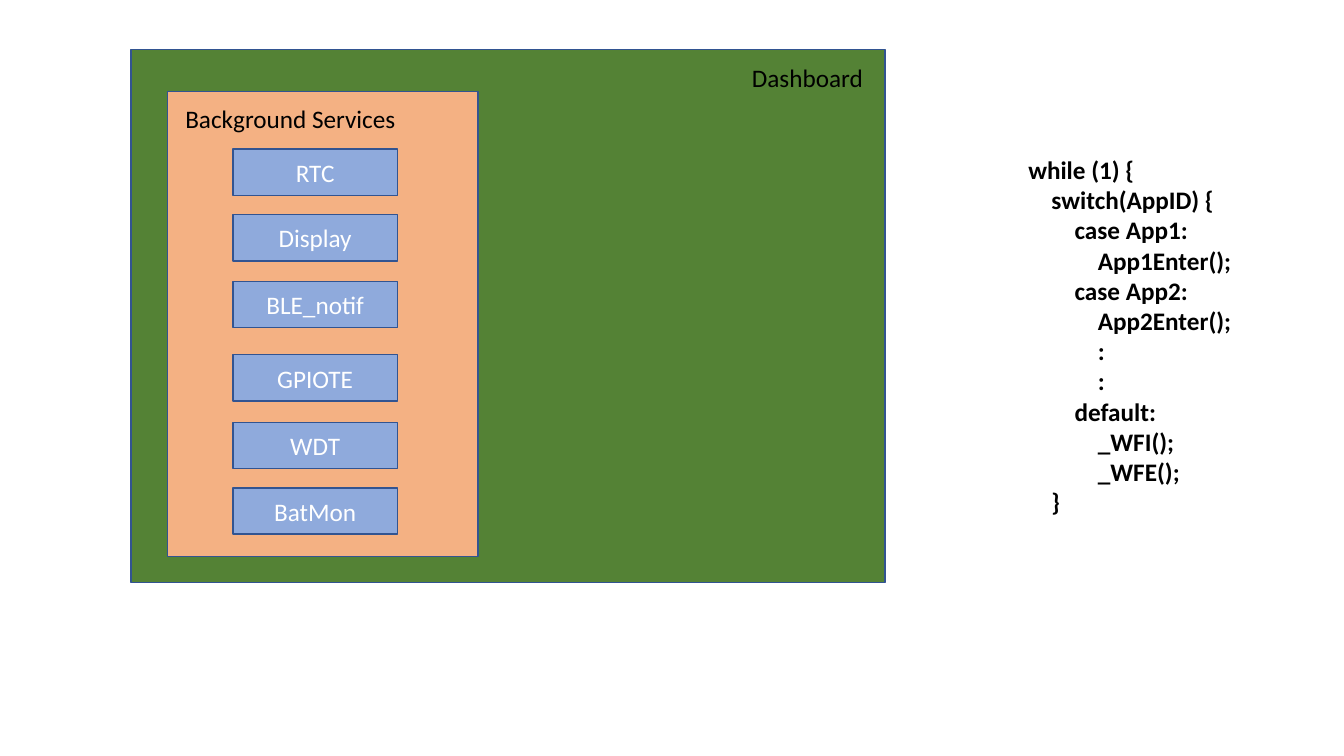
from pptx import Presentation
from pptx.dml.color import RGBColor as RGB
from pptx.enum.shapes import MSO_SHAPE as SHAPE
from pptx.enum.text import MSO_ANCHOR as ANCHOR, MSO_AUTO_SIZE as FIT, PP_ALIGN as ALIGN
from pptx.util import Inches, Pt

WIDE, HIGH = Inches(13.33), Inches(7.5)
FONT, SIZE = "Calibri", 18
STEP = Inches(0.23)  # one level of code indent

COLORS = {
    "board": "548235",
    "panel": "F4B183",
    "service": "8FAADC",
    "edge": "325491",
    "dark": "000000",
    "light": "FFFFFF",
}

# Service name and its top, in percent of the slide height
SERVICES = [
    ("RTC", 19.73),
    ("Display", 28.4),
    ("BLE_notif", 37.2),
    ("GPIOTE", 46.93),
    ("WDT", 55.87),
    ("BatMon", 64.53),
]

# Indent level and code line
CODE = [
    (0, "while (1) {"),
    (1, "switch(AppID) {"),
    (2, "case App1:"),
    (3, "App1Enter();"),
    (2, "case App2:"),
    (3, "App2Enter();"),
    (3, ":"),
    (3, ":"),
    (2, "default:"),
    (3, "_WFI();"),
    (3, "_WFE();"),
    (1, "}"),
]


def color(name):
    return RGB.from_string(COLORS[name])


def place(left, top, width, height):
    """Turn percentages of the slide into lengths."""
    sides = (left, WIDE), (top, HIGH), (width, WIDE), (height, HIGH)
    return [round(share * full / 100) for share, full in sides]


def add_run(para, text, ink, bold=False):
    run = para.add_run()
    run.text = text
    font = run.font
    font.name, font.size, font.bold = FONT, Pt(SIZE), bold
    font.color.rgb = color(ink)


def add_box(slide, area, fill, text=None):
    box = slide.shapes.add_shape(SHAPE.RECTANGLE, *place(*area))
    box.shadow.inherit = False
    box.fill.solid()
    box.fill.fore_color.rgb = color(fill)
    box.line.color.rgb = color("edge")
    box.line.width = Pt(1)
    if text:
        frame = box.text_frame
        frame.vertical_anchor = ANCHOR.MIDDLE
        para = frame.paragraphs[0]
        para.alignment = ALIGN.CENTER
        add_run(para, text, "light")


def add_text(slide, area, lines, bold=False):
    frame = slide.shapes.add_textbox(*place(*area)).text_frame
    frame.word_wrap = True
    frame.auto_size = FIT.SHAPE_TO_FIT_TEXT
    for i, (level, text) in enumerate(lines):
        para = frame.add_paragraph() if i else frame.paragraphs[0]
        if level:
            props = para._p.get_or_add_pPr()
            props.set("marL", str(level * STEP))
            props.set("indent", "0")
        add_run(para, text, "dark", bold)


def main():
    deck = Presentation()
    deck.slide_width, deck.slide_height = WIDE, HIGH
    slide = deck.slides.add_slide(deck.slide_layouts[6])

    # Dashboard with the panel of background services
    add_box(slide, (9.75, 6.53, 56.11, 70.53), "board")
    add_box(slide, (12.45, 12.13, 23.11, 61.47), "panel")
    add_text(slide, (55.21, 7.6, 9.98, 5.33), [(0, "Dashboard")])
    add_text(slide, (13.05, 13.07, 17.93, 5.33), [(0, "Background Services")])

    # Services
    for name, top in SERVICES:
        add_box(slide, (17.33, top, 12.23, 6.13), "service", name)

    # Main loop code
    add_text(slide, (75.77, 19.73, 26.26, 53.87), CODE, bold=True)

    deck.save("out.pptx")


main()
